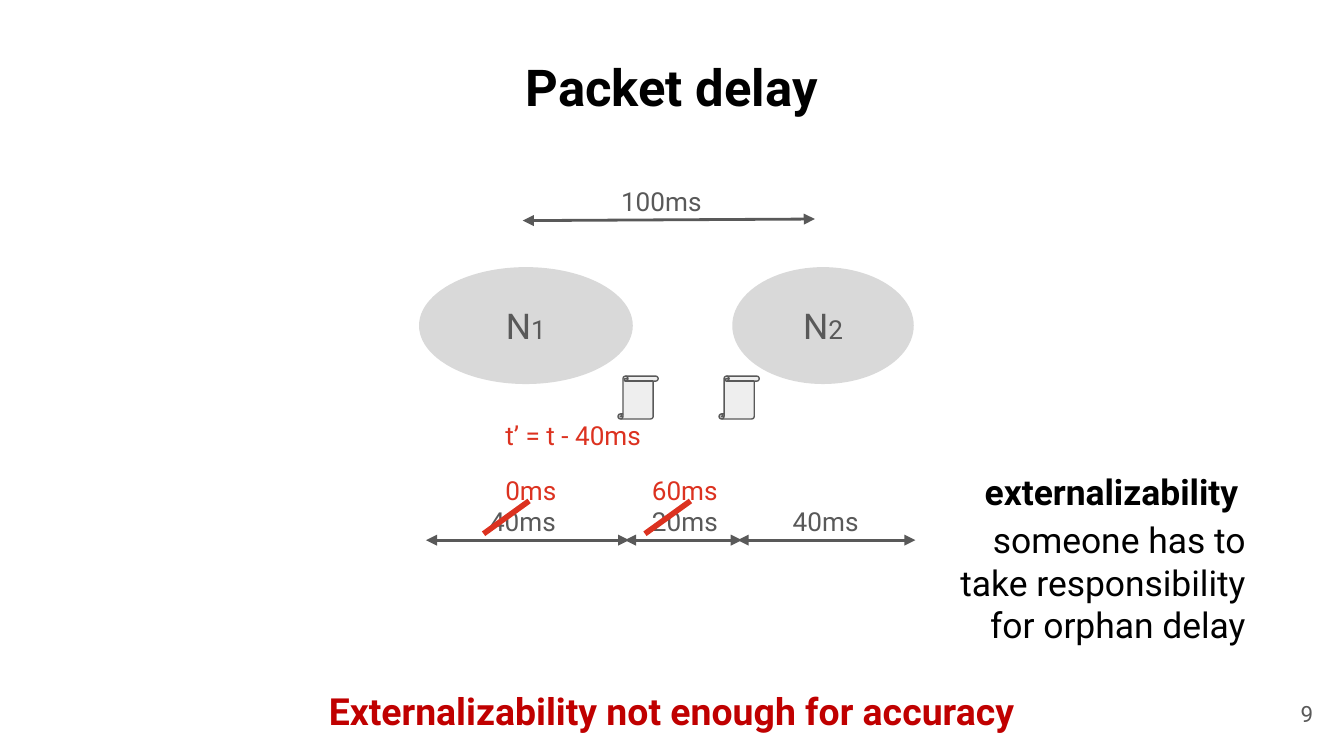
from lxml import etree
from pptx import Presentation
from pptx.dml.color import RGBColor
from pptx.enum import shapes, text
from pptx.oxml import ns
from pptx.util import Cm, Pt

BLACK = RGBColor(0x00, 0x00, 0x00)
GRAY = RGBColor(0x59, 0x59, 0x59)
NODE_GRAY = RGBColor(0xD9, 0xD9, 0xD9)
PACKET_GRAY = RGBColor(0xEE, 0xEE, 0xEE)
RED = RGBColor(0xDC, 0x32, 0x20)
DARK_RED = RGBColor(0xC0, 0x00, 0x00)
LEFT, CENTER, RIGHT = text.PP_ALIGN.LEFT, text.PP_ALIGN.CENTER, text.PP_ALIGN.RIGHT

LABEL_HEIGHT = 1.12


def style(font, size, color, bold=False):
    font.name = "Roboto"
    font.size = Pt(size)
    font.color.rgb = color
    font.bold = bold


def add_label(slide, box, words, size, color, align=LEFT, bold=False,
              anchor=text.MSO_ANCHOR.TOP):
    """Place a text box, one paragraph per line of words; box is in cm."""
    frame = slide.shapes.add_textbox(*map(Cm, box)).text_frame
    frame.word_wrap = True
    frame.vertical_anchor = anchor
    frame.margin_left = frame.margin_right = Cm(0.25)
    frame.margin_top = frame.margin_bottom = Cm(0.25)
    frame.text = words
    for paragraph in frame.paragraphs:
        paragraph.alignment = align
        style(paragraph.runs[0].font, size, color, bold)
    return frame


def add_span_arrow(slide, x1, y1, x2, y2):
    """Draw a double-headed arrow; ends are in cm."""
    arrow = slide.shapes.add_connector(
        shapes.MSO_CONNECTOR.STRAIGHT, Cm(x1), Cm(y1), Cm(x2), Cm(y2))
    arrow.line.color.rgb = GRAY
    arrow.line.width = Pt(1.5)
    outline = arrow.line._get_or_add_ln()
    for end in ("a:headEnd", "a:tailEnd"):
        etree.SubElement(outline, ns.qn(end), type="triangle")
    etree.SubElement(arrow._element.spPr, ns.qn("a:effectLst"))


def add_strike(slide, left, top, width, height):
    """Draw a rising slash across the given box in cm."""
    builder = slide.shapes.build_freeform(Cm(left), Cm(top + height))
    builder.add_line_segments([(Cm(left + width), Cm(top))], close=False)
    strike = builder.convert_to_shape()
    strike.shadow.inherit = False
    strike.fill.background()
    strike.line.color.rgb = RED
    strike.line.width = Pt(3)


def add_node(slide, box, number):
    node = slide.shapes.add_shape(shapes.MSO_SHAPE.OVAL, *map(Cm, box))
    node.shadow.inherit = False
    node.fill.solid()
    node.fill.fore_color.rgb = NODE_GRAY
    node.line.fill.background()
    node.text_frame.vertical_anchor = text.MSO_ANCHOR.MIDDLE
    name = node.text_frame.paragraphs[0]
    name.alignment = CENTER
    for part, size in (("N", 19), (number, 14)):
        run = name.add_run()
        run.text = part
        style(run.font, size, GRAY)


def add_packet(slide, box):
    packet = slide.shapes.add_shape(shapes.MSO_SHAPE.VERTICAL_SCROLL, *map(Cm, box))
    packet.shadow.inherit = False
    packet.fill.solid()
    packet.fill.fore_color.rgb = PACKET_GRAY
    packet.line.color.rgb = GRAY
    packet.line.width = Pt(0.75)


def add_network(slide, left, top, width, height):
    """Two nodes with the total delay above and packets below."""
    add_span_arrow(slide, left + 1.96, top + 0.92, left + 7.48, top + 0.89)
    add_label(slide, (left + 0.06, top, 9.04, LABEL_HEIGHT), "100ms", 14, GRAY, CENTER)
    first_width, second_width = 4.04, 3.43
    add_node(slide, (left, top + 1.8, first_width, 2.21), "1")
    add_node(slide, (left + width - second_width, top + 1.8, second_width, 2.21), "2")
    packet_height = 0.81
    for offset in (3.76, 5.67):
        add_packet(slide, (left + offset, top + height - packet_height, 0.76, packet_height))


def add_timeline(slide, left, top, width, height):
    """Delay segments along the bottom, with corrected values above them."""
    bottom = top + height
    segments = (
        ("40ms", 0, 3.81, 0.07, 3.91),
        ("20ms", 3.48, 2.97, 3.83, 6.04),
        ("40ms", width - 3.36, 3.33, 5.96, width),
    )
    for delay, label_x, label_width, start, end in segments:
        add_span_arrow(slide, left + start, bottom, left + end, bottom)
        add_label(slide, (left + label_x, bottom - 0.91, label_width, LABEL_HEIGHT),
                  delay, 14, GRAY, CENTER)
    add_label(slide, (left + 1.32, top, 5.13, LABEL_HEIGHT), "t’ = t - 40ms", 14, RED)
    for delay, label_x, strike_x in (("0ms", 1.32, 1.16), ("60ms", 4.09, 4.21)):
        add_strike(slide, left + strike_x, bottom - 0.74, 0.86, 0.62)
        add_label(slide, (left + label_x, bottom - 1.5, 3.81, LABEL_HEIGHT), delay, 14, RED)


def add_definition(slide, left, top, width, height):
    """Term above its right-aligned explanation."""
    add_label(slide, (left + 1.44, top, width - 1.44, 1.32),
              "externalizability", 19, BLACK, bold=True)
    meaning = add_label(
        slide, (left, top + 0.91, width, height - 0.91),
        "someone has to\ntake responsibility\nfor orphan delay", 19, BLACK, RIGHT)
    first_line = meaning.paragraphs[0]._p.get_or_add_pPr()
    first_line.set("marR", str(Cm(0.34)))


def main():
    deck = Presentation()
    deck.slide_width, deck.slide_height = Cm(25.4), Cm(14.29)
    slide = deck.slides.add_slide(deck.slide_layouts[6])
    add_label(slide, (0.86, 0.81, 23.67, 1.6), "Packet delay", 27.2, BLACK, CENTER, True)
    add_network(slide, 7.92, 3.25, 9.35, 4.67)
    add_timeline(slide, 7.98, 7.67, 9.32, 2.54)
    add_definition(slide, 16.92, 8.64, 7.21, 3.86)
    add_label(slide, (0, 12.75, 25.4, 1.37),
              "Externalizability not enough for accuracy", 20, DARK_RED, CENTER, True)
    add_label(slide, (23.55, 12.95, 1.52, 1.09), "9", 12, GRAY, RIGHT,
              anchor=text.MSO_ANCHOR.MIDDLE)
    deck.save("out.pptx")


if __name__ == "__main__":
    main()
